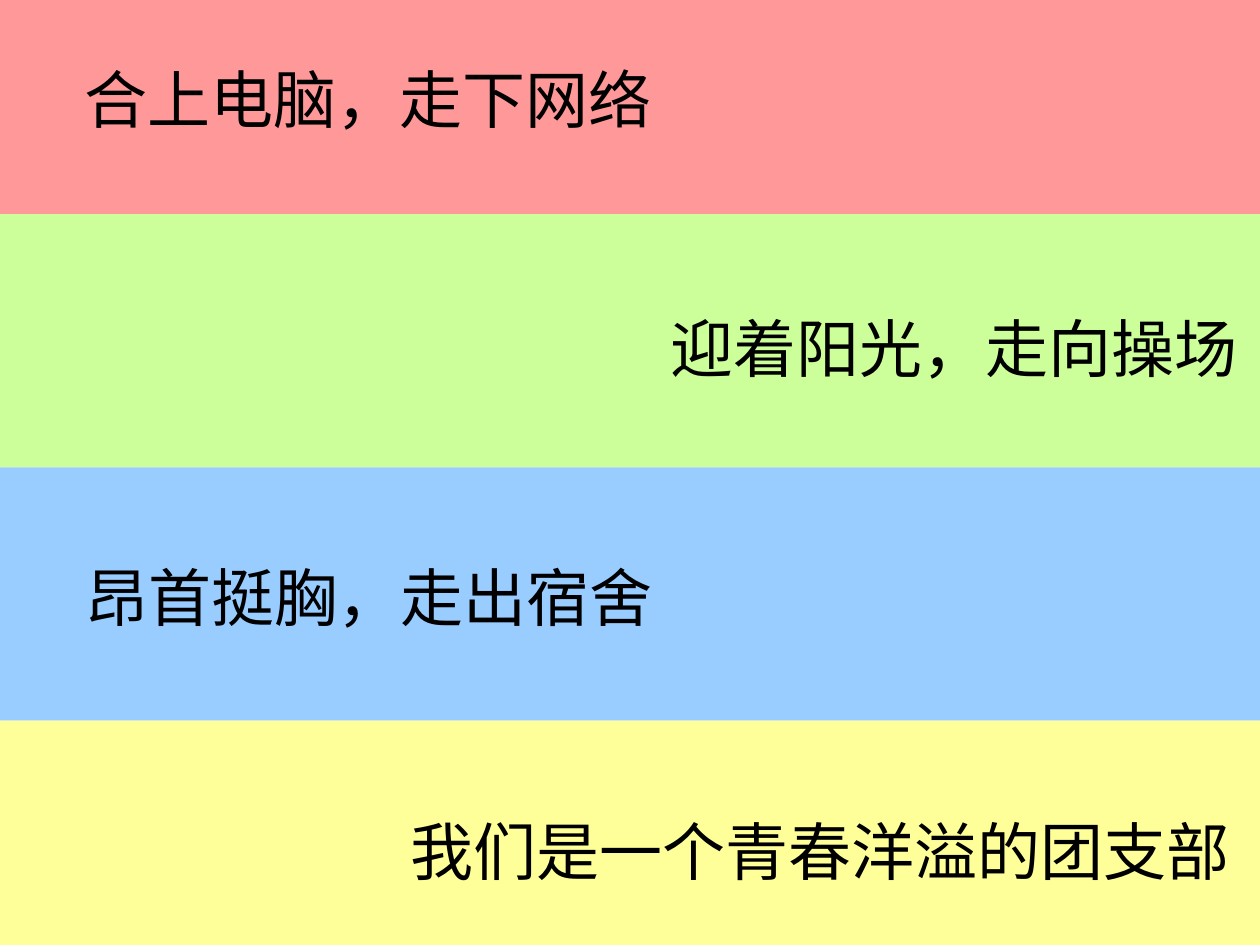
from pptx import Presentation
from pptx import util as u
from pptx.dml.color import RGBColor
from pptx.enum import shapes, text


def colour(hex_code):
    return RGBColor.from_string(hex_code)


class SloganSlide:
    font = "Arial"
    size = u.Pt(36)
    ink = "000000"
    bleed = 0.035
    first_top = -0.31 / 7.5
    row = 2.01 / 7.5

    def __init__(self, deck):
        self.width, self.height = deck.slide_width, deck.slide_height
        self.slide = deck.slides.add_slide(deck.slide_layouts[6])

    def box(self, left, top, width, height):
        return (round(left * self.width), round(top * self.height),
                round(width * self.width), round(height * self.height))

    def band(self, index, fill):
        area = self.box(-self.bleed, self.first_top + index * self.row,
                        1.016 + 2 * self.bleed, self.row)
        band = self.slide.shapes.add_shape(shapes.MSO_SHAPE.RECTANGLE, *area)
        band.shadow.inherit = False
        band.fill.solid()
        band.fill.fore_color.rgb = colour(fill)
        band.line.fill.background()

    def slogan(self, words, left, top, width):
        area = self.box(left, top, width, 0.7 / 7.5)
        frame = self.slide.shapes.add_textbox(*area).text_frame
        frame.word_wrap = True
        frame.auto_size = text.MSO_AUTO_SIZE.SHAPE_TO_FIT_TEXT
        line = frame.paragraphs[0]
        line.text = words
        line.font.name = self.font
        line.font.size = self.size
        line.font.color.rgb = colour(self.ink)


def main():
    deck = Presentation()
    deck.slide_width, deck.slide_height = u.Inches(10), u.Inches(7.5)
    page = SloganSlide(deck)
    slogans = [
        ("FF9999", "合上电脑，走下网络", 0.057, 0.43, 0.472),
        ("CCFF99", "迎着阳光，走向操场", 0.522, 2.41, 0.472),
        ("99CCFF", "昂首挺胸，走出宿舍", 0.058, 4.38, 0.472),
        ("FFFF99", "我们是一个青春洋溢的团支部", 0.316, 6.4, 0.677),
    ]
    for index, (fill, words, left, top, width) in enumerate(slogans):
        page.band(index, fill)
        page.slogan(words, left, top / 7.5, width)
    deck.save("out.pptx")


if __name__ == "__main__":
    main()
